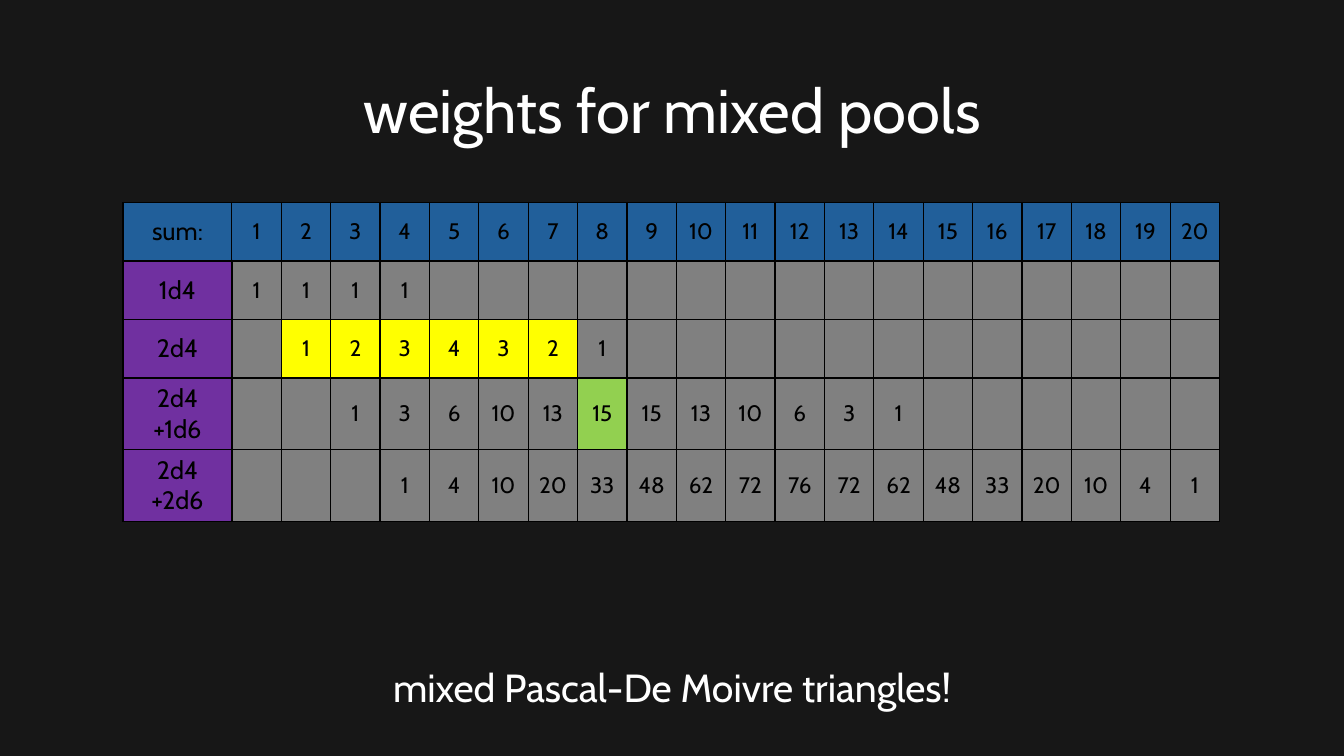
import pptx
import pptx.util
import pptx.dml.color
import pptx.enum.text
import pptx.oxml
import pptx.oxml.ns

Inches = pptx.util.Inches
MIDDLE = pptx.enum.text.MSO_ANCHOR.MIDDLE


def color(code):
    return pptx.dml.color.RGBColor.from_string(code)


def write(frame, text, size=16, ink="000000", space=None):
    frame.text = text
    frame.word_wrap = True
    frame.vertical_anchor = MIDDLE
    for para in frame.paragraphs:
        para.alignment = pptx.enum.text.PP_ALIGN.CENTER
        para.line_spacing = space
        for run in para.runs:
            run.font.name = "Cabin"
            run.font.size = pptx.util.Pt(size)
            run.font.color.rgb = color(ink)


# Slide and background
deck = pptx.Presentation()
deck.slide_width = Inches(13.33)
deck.slide_height = Inches(7.5)
slide = deck.slides.add_slide(deck.slide_layouts[5])
slide.background.fill.solid()
slide.background.fill.fore_color.rgb = color("171717")

# Title
title = slide.shapes.title
title.left, title.top = Inches(0.92), Inches(0.4)
title.width, title.height = Inches(11.5), Inches(1.45)
write(title.text_frame, "weights for mixed pools", size=44, ink="FFFFFF", space=0.9)

# Rows: label, first filled column, values
pools = [
    ("sum:", 1, list(range(1, 21))),
    ("1d4", 1, [1, 1, 1, 1]),
    ("2d4", 2, [1, 2, 3, 4, 3, 2, 1]),
    ("2d4\n+1d6", 3, [1, 3, 6, 10, 13, 15, 15, 13, 10, 6, 3, 1]),
    ("2d4\n+2d6", 4, [1, 4, 10, 20, 33, 48, 62, 72, 76,
                      72, 62, 48, 33, 20, 10, 4, 1]),
]

# Yellow and green cells
marks = {(2, col): "FFFF00" for col in range(2, 8)}
marks[3, 8] = "92D050"

# Table
frame = slide.shapes.add_table(len(pools), 21, Inches(1.22), Inches(2.01),
                               Inches(10.89), Inches(3.14))
table = frame.table
for col, part in enumerate(table.columns):
    part.width = Inches(0.49 if col else 1.08)

for row, (label, low, weights) in enumerate(pools):
    table.rows[row].height = Inches(0.7 if "\n" in label else 0.58)
    for col in range(21):
        cell = table.cell(row, col)
        cell.vertical_anchor = MIDDLE

        # Text
        if col == 0:
            write(cell.text_frame, label, size=18)
        elif low <= col < low + len(weights):
            write(cell.text_frame, str(weights[col - low]))

        # Borders, heavier around the headings
        heavy = {"lnL": row > 0 and col == 1, "lnR": row > 0 and col == 0,
                 "lnT": row == 1, "lnB": row == 0}
        for side, thick in heavy.items():
            width = pptx.util.Pt(2.25 if thick else 1)
            cell._tc.get_or_add_tcPr().append(pptx.oxml.parse_xml(
                f'<a:{side} {pptx.oxml.ns.nsdecls("a")} w="{width}"><a:solidFill>'
                f'<a:srgbClr val="000000"/></a:solidFill></a:{side}>'))

        # Fill
        if row == 0:
            shade = "215F9A"
        elif col == 0:
            shade = "7030A0"
        else:
            shade = marks.get((row, col), "808080")
        cell.fill.solid()
        cell.fill.fore_color.rgb = color(shade)

# Closing line
note = slide.shapes.add_textbox(Inches(1.53), Inches(6.53), Inches(10.27), Inches(0.57))
write(note.text_frame, "mixed Pascal-De Moivre triangles!", size=28, ink="FFFFFF")

deck.save("out.pptx")
